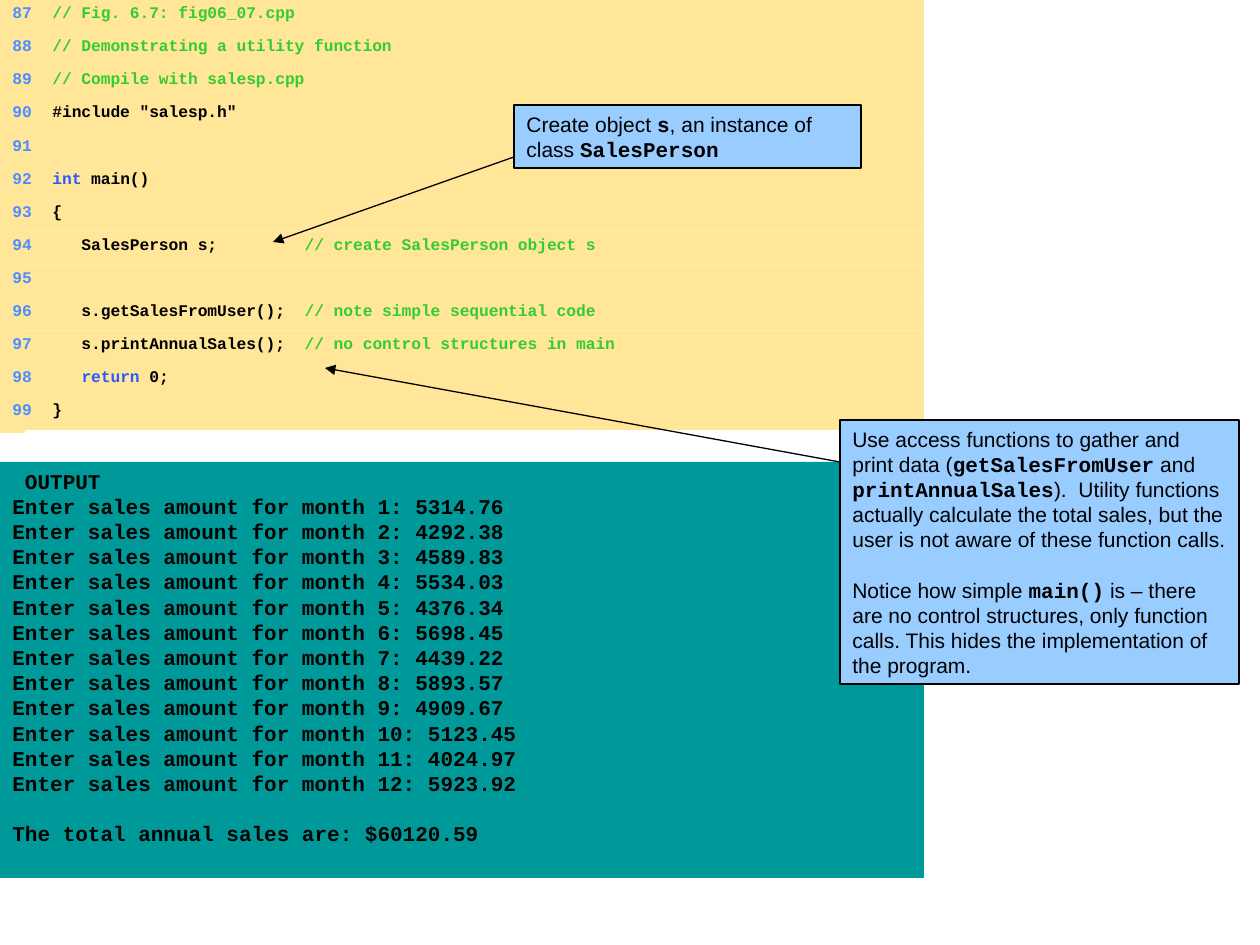
from lxml.etree import SubElement
from pptx import Presentation
from pptx.dml.color import RGBColor
from pptx.enum.shapes import MSO_CONNECTOR, MSO_SHAPE
from pptx.enum.text import MSO_ANCHOR, PP_ALIGN
from pptx.oxml.ns import qn
from pptx.util import Emu, Pt

PX = 914400 / 126
BLACK = RGBColor(0x00, 0x00, 0x00)
CODE_FILL = RGBColor(0xFF, 0xE6, 0x99)
OUTPUT_FILL = RGBColor(0x00, 0x99, 0x99)
CALLOUT_FILL = RGBColor(0x99, 0xCC, 0xFF)
NUMBER_BLUE = RGBColor(0x4D, 0x8D, 0xFF)
KEYWORD_BLUE = RGBColor(0x27, 0x5A, 0xFF)
COMMENT_GREEN = RGBColor(0x33, 0xCC, 0x33)

# Text styles: font, bold, colour
NUMBER = ("Courier New", True, NUMBER_BLUE)
KEYWORD = ("Courier New", True, KEYWORD_BLUE)
COMMENT = ("Courier New", True, COMMENT_GREEN)
CODE = ("Courier New", True, BLACK)
PROSE = ("Arial", False, BLACK)


def px(length):
    return Emu(round(length * PX))


def add_box(left, top, width, height, fill, paragraphs=(), size=12,
            spacing=Pt(14.4), tabs=(), gaps=(), outlined=False):
    """Add a rectangle; gaps lists the paragraphs that follow an empty line."""
    box = slide.shapes.add_shape(MSO_SHAPE.RECTANGLE, px(left), px(top),
                                 px(width), px(height))
    box.shadow.inherit = False
    box.fill.solid()
    box.fill.fore_color.rgb = fill
    if outlined:
        box.line.color.rgb = BLACK
        box.line.width = Pt(0.75)
    else:
        box.line.fill.background()
    frame = box.text_frame
    frame.word_wrap = True
    frame.vertical_anchor = MSO_ANCHOR.TOP
    for index, parts in enumerate(paragraphs):
        paragraph = frame.add_paragraph() if index else frame.paragraphs[0]
        paragraph.alignment = PP_ALIGN.LEFT
        if tabs:
            tab_list = SubElement(paragraph._p.get_or_add_pPr(), qn("a:tabLst"))
            for position, align in tabs:
                SubElement(tab_list, qn("a:tab"), pos=str(px(position)), algn=align)
        paragraph.line_spacing = spacing
        if index in gaps:
            paragraph.space_before = spacing
        for text, (font, bold, color) in parts:
            run = paragraph.add_run()
            run.text = text
            run.font.name = font
            run.font.size = Pt(size)
            run.font.bold = bold
            run.font.color.rgb = color
    return box


presentation = Presentation()
presentation.slide_width, presentation.slide_height = px(1260), px(945)
slide = presentation.slides.add_slide(presentation.slide_layouts[6])

# Code listing, one band per numbered line
code_lines = [
    [("// Fig. 6.7: fig06_07.cpp", COMMENT)],
    [("// Demonstrating a utility function", COMMENT)],
    [("// Compile with salesp.cpp", COMMENT)],
    [('#include "salesp.h"', CODE)],
    [],
    [("int", KEYWORD), (" main()", CODE)],
    [("{", CODE)],
    [("   SalesPerson s;         ", CODE), ("// create SalesPerson object s", COMMENT)],
    [],
    [("   s.getSalesFromUser();  ", CODE), ("// note simple sequential code", COMMENT)],
    [("   s.printAnnualSales();  ", CODE), ("// no control structures in main", COMMENT)],
    [("   ", CODE), ("return", KEYWORD), (" 0;", CODE)],
    [("}", CODE)],
]
listing_height = 430
band_height = listing_height / len(code_lines)
for row, code in enumerate(code_lines):
    top = row * band_height
    add_box(0, top - 2, 25, 38, CODE_FILL)
    add_box(0, top, 924, band_height, CODE_FILL,
            [[(f"\t{87 + row}\t", NUMBER), *code]],
            size=9.3, spacing=0.8, tabs=[(19, "r"), (40, "l")])

# Program output
sales = ["5314.76", "4292.38", "4589.83", "5534.03", "4376.34", "5698.45",
         "4439.22", "5893.57", "4909.67", "5123.45", "4024.97", "5923.92"]
output = [" OUTPUT"]
output += [f"Enter sales amount for month {month}: {amount}"
           for month, amount in enumerate(sales, 1)]
output.append("The total annual sales are: $60120.59")
add_box(0, 462, 924, 416, OUTPUT_FILL, [[(line, CODE)] for line in output],
        gaps=[len(output) - 1])

# Callouts, each with an arrow to the code it explains
object_note = [
    [("Create object ", PROSE), ("s", CODE), (", an instance of class ", PROSE),
     ("SalesPerson", CODE)],
]
access_note = [
    [("Use access functions to gather and print data (", PROSE),
     ("getSalesFromUser", CODE), (" and ", PROSE), ("printAnnualSales", CODE),
     (").  Utility functions actually calculate the total sales, but the user "
      "is not aware of these function calls.", PROSE)],
    [("Notice how simple ", PROSE), ("main()", CODE),
     (" is – there are no control structures, only function calls. "
      "This hides the implementation of the program.", PROSE)],
]
callouts = [
    (object_note, (514, 105, 347, 63), (514, 157, 273, 242)),
    (access_note, (840, 420, 399, 264), (840, 462, 325, 368)),
]
for note, place, ends in callouts:
    add_box(*place, CALLOUT_FILL, note, gaps=[1], outlined=True)
    arrow = slide.shapes.add_connector(MSO_CONNECTOR.STRAIGHT, *map(px, ends))
    arrow.line.color.rgb = BLACK
    arrow.line.width = Pt(0.75)
    SubElement(arrow.line._get_or_add_ln(), qn("a:tailEnd"), type="triangle")
    SubElement(arrow._element.spPr, qn("a:effectLst"))

presentation.save("out.pptx")
